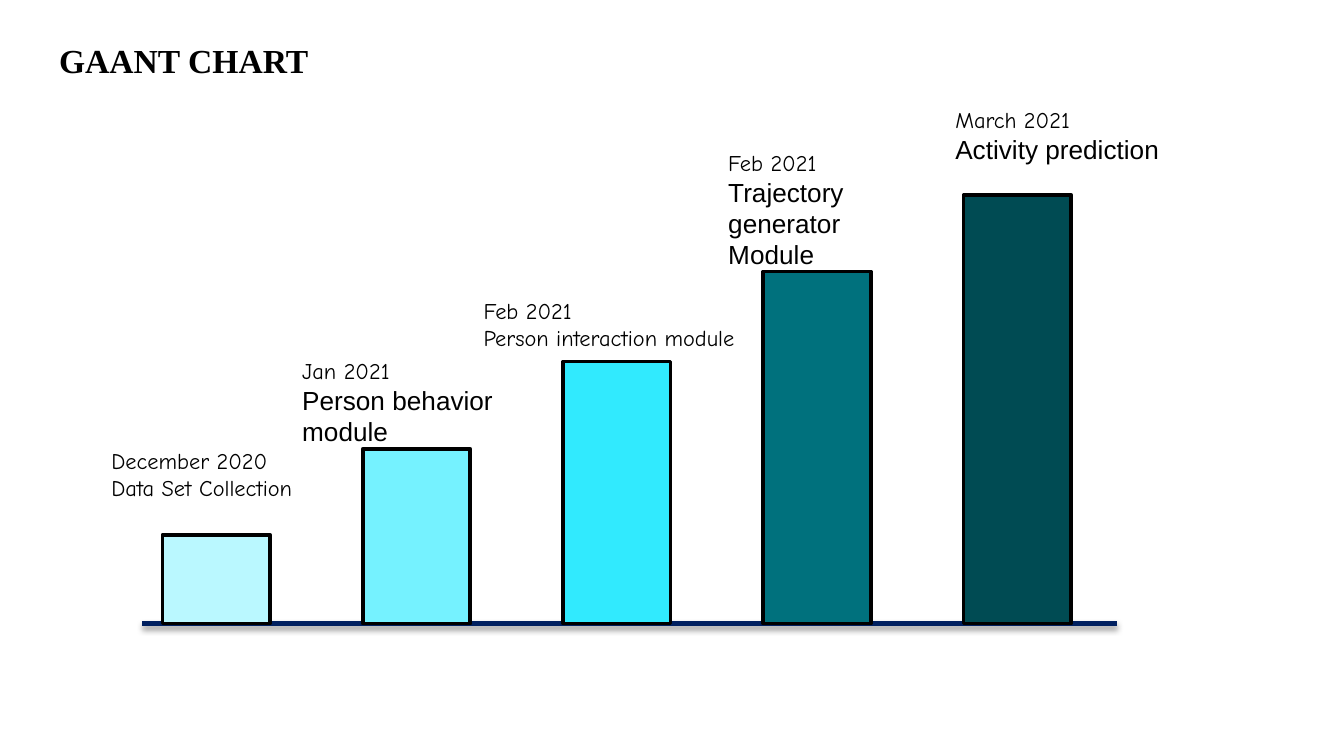
"""Build the project timeline slide with five rising bars."""
from lxml import etree
from pptx import Presentation
from pptx.dml.color import RGBColor
from pptx.enum.shapes import MSO_CONNECTOR as CONN, MSO_SHAPE as SHAPE
from pptx.enum.text import MSO_ANCHOR as ANCHOR, PP_ALIGN as ALIGN
from pptx.oxml import parse_xml
from pptx.oxml.ns import nsdecls, qn
from pptx.util import Inches, Pt

TITLE = "GAANT CHART"
DATE, TASK = "date", "task"
STAGES = [
    {"date": "December 2020", "task": "Data Set Collection", "style": DATE,
     "height": 0.66, "fill": "BAF8FF", "label": (0.73, 3.28, 1.63, 0.71)},
    {"date": "Jan 2021", "task": "Person behavior module", "style": TASK,
     "height": 1.3, "fill": "75F2FF", "label": (2.15, 2.61, 1.78, 0.71)},
    {"date": "Feb 2021", "task": "Person interaction module", "style": DATE,
     "height": 1.95, "fill": "31EAFE", "label": (3.5, 2.16, 2.11, 0.5)},
    {"date": "Feb 2021", "task": "Trajectory generator Module", "style": TASK,
     "height": 2.62, "fill": "00717D", "label": (5.32, 1.06, 1.62, 0.91)},
    {"date": "March 2021", "task": "Activity prediction", "style": TASK,
     "height": 3.19, "fill": "004B53", "label": (7.01, 0.74, 1.76, 0.71)},
]
THEME = {
    "ink": "000000", "axis": "002060",
    "title": ("Times New Roman", 18, True),
    DATE: ("Comic Neue", 12, False),
    TASK: ("Arial", 14, False),
}
AXIS_LEFT, AXIS_RIGHT, BASE = 1.06, 8.31, 4.64
BAR_LEFT, BAR_STEP, BAR_WIDTH = 1.21, 1.49, 0.8


def color(value):
    return RGBColor.from_string(value)


def add_run(p, text, style):
    r = p.add_run()
    r.text = text
    r.font.name, size, r.font.bold = THEME[style]
    r.font.size = Pt(size)
    r.font.color.rgb = color(THEME["ink"])


def add_title(s):
    sp = s.shapes.title
    sp.left, sp.top, sp.width, sp.height = map(Inches, (0.34, 0.2, 9.32, 0.63))
    tf = sp.text_frame
    tf.margin_left = tf.margin_right = tf.margin_top = tf.margin_bottom = Inches(0.1)
    tf.vertical_anchor = ANCHOR.TOP
    p = tf.paragraphs[0]
    p.alignment = ALIGN.LEFT
    add_run(p, TITLE, "title")


def add_axis(s):
    line = s.shapes.add_connector(
        CONN.STRAIGHT, *map(Inches, (AXIS_LEFT, BASE, AXIS_RIGHT, BASE)))
    line.line.color.rgb = color(THEME["axis"])
    line.line.width = Pt(3)
    effects = parse_xml(f"<a:effectLst {nsdecls('a')}/>")
    shadow = etree.SubElement(
        effects, qn("a:outerShdw"), blurRad=str(Pt(3.1)), dist=str(Pt(1.8)),
        dir="5400000", rotWithShape="0")
    ink = etree.SubElement(shadow, qn("a:srgbClr"), val=THEME["ink"])
    etree.SubElement(ink, qn("a:alpha"), val="35000")
    line._element.spPr.append(effects)


def add_bar(s, index, stage):
    left, height = BAR_LEFT + index * BAR_STEP, stage["height"]
    bar = s.shapes.add_shape(
        SHAPE.RECTANGLE, *map(Inches, (left, BASE - height, BAR_WIDTH, height)))
    bar.shadow.inherit = False
    bar.fill.solid()
    bar.fill.fore_color.rgb = color(stage["fill"])
    bar.line.color.rgb = color(THEME["ink"])
    bar.line.width = Pt(2)


def add_label(s, stage):
    tf = s.shapes.add_textbox(*map(Inches, stage["label"])).text_frame
    tf.word_wrap = True
    add_run(tf.paragraphs[0], stage["date"], DATE)
    add_run(tf.add_paragraph(), stage["task"], stage["style"])


def main():
    prs = Presentation()
    prs.slide_width = Inches(10)
    prs.slide_height = prs.slide_width * 9 // 16
    s = prs.slides.add_slide(prs.slide_layouts[5])
    add_title(s)
    add_axis(s)
    for index, stage in enumerate(STAGES):
        add_bar(s, index, stage)
    for stage in STAGES:
        add_label(s, stage)
    prs.save("out.pptx")


if __name__ == "__main__":
    main()
